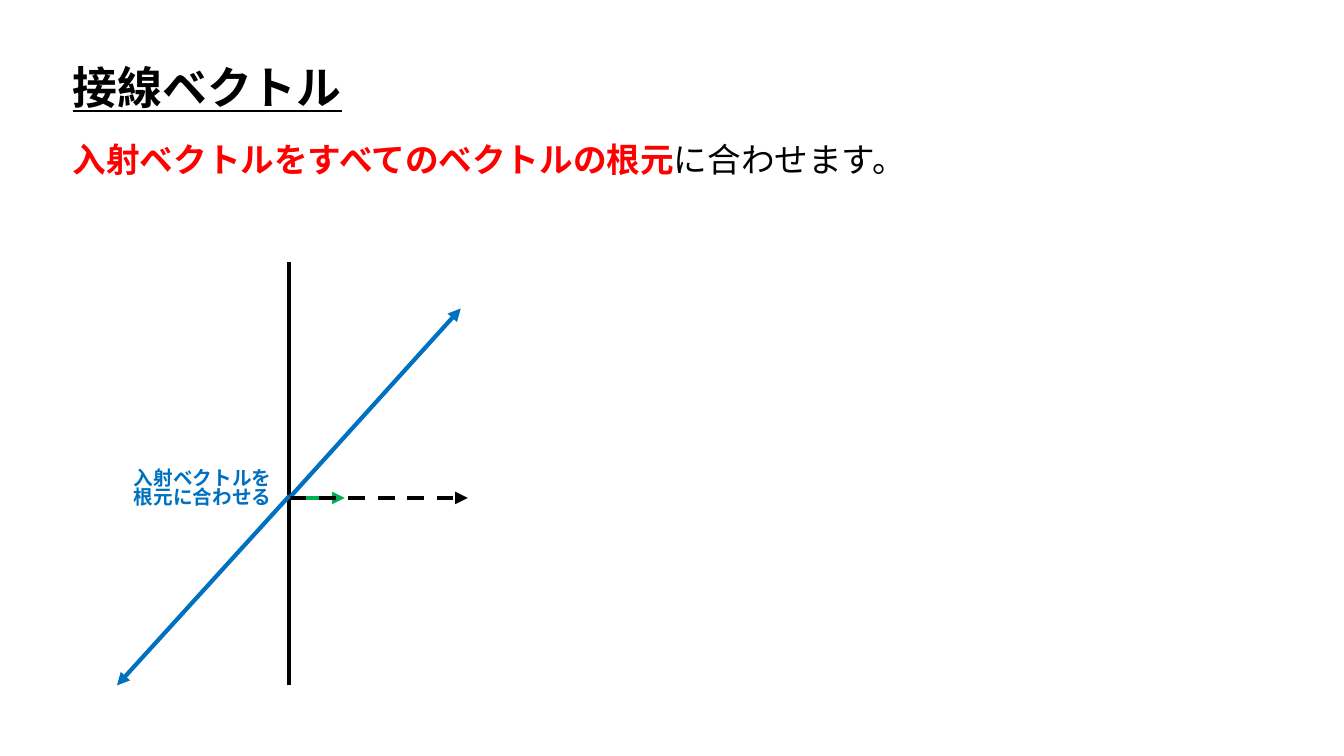
from lxml import etree
from pptx import Presentation
from pptx.dml.color import RGBColor
from pptx.enum.dml import MSO_LINE
from pptx.enum.shapes import MSO_CONNECTOR
from pptx.enum.text import MSO_ANCHOR, MSO_AUTO_SIZE, PP_ALIGN
from pptx.oxml.ns import qn
from pptx.util import Inches, Pt

STRAIGHT = MSO_CONNECTOR.STRAIGHT
DASH = MSO_LINE.DASH
MIDDLE = MSO_ANCHOR.MIDDLE
NO_FIT = MSO_AUTO_SIZE.NONE
LEFT = PP_ALIGN.LEFT

FONT = "Noto Sans CJK JP"
BLACK, RED, GREEN, BLUE = "000000", "FF0000", "00B050", "0070C0"
MARGIN = 0.62
ROOT_X, ROOT_Y = 2.87, 4.94


def color(hex_code):
    return RGBColor.from_string(hex_code)


def write(shape, box, paragraphs, size, bold=True, underline=False, spacing=1.0):
    """Place a text shape and fill it with paragraphs of (text, colour, bold) runs."""
    shape.left, shape.top, shape.width, shape.height = map(Inches, box)
    frame = shape.text_frame
    frame.word_wrap = False
    frame.auto_size = NO_FIT
    frame.vertical_anchor = MIDDLE
    for index, runs in enumerate(paragraphs):
        paragraph = frame.paragraphs[0] if index == 0 else frame.add_paragraph()
        properties = paragraph._p.get_or_add_pPr()
        properties.set("marL", "0")
        properties.set("indent", "0")
        etree.SubElement(properties, qn("a:buNone"))
        paragraph.alignment = LEFT
        paragraph.line_spacing = spacing
        paragraph.space_before = Pt(0)
        for text, hex_code, *weight in runs:
            run = paragraph.add_run()
            run.text = text
            font = run.font
            font.size = Pt(size)
            font.bold = weight[0] if weight else bold
            font.underline = underline
            font.color.rgb = color(hex_code)
            font.name = FONT
            east_asian = etree.Element(qn("a:ea"), typeface=FONT)
            run._r.rPr.find(qn("a:latin")).addnext(east_asian)


def draw_line(slide, start, end, hex_code, arrow=True, dash=None):
    connector = slide.shapes.add_connector(STRAIGHT, *map(Inches, start + end))
    line = connector.line
    line.color.rgb = color(hex_code)
    line.width = Pt(3)
    if dash:
        line.dash_style = dash
    if arrow:
        etree.SubElement(line._get_or_add_ln(), qn("a:tailEnd"), type="triangle")
    etree.SubElement(connector._element.spPr, qn("a:effectLst"))


def main():
    deck = Presentation()
    deck.slide_width, deck.slide_height = Inches(13.33), Inches(7.5)
    slide = deck.slides.add_slide(deck.slide_layouts[1])
    heading, statement = slide.placeholders

    write(heading, (MARGIN, 0.54, 2.89, 0.64), [[("接線ベクトル", BLACK)]],
          size=32, underline=True)
    write(statement, (MARGIN, 1.33, 8.62, 0.5),
          [[("入射ベクトルをすべてのベクトルの根元", RED),
            ("に合わせます。", BLACK, False)]], size=24)

    root = (ROOT_X, ROOT_Y)
    draw_line(slide, (ROOT_X, 2.6), (ROOT_X, 6.8), BLACK, arrow=False)
    draw_line(slide, root, (3.42, ROOT_Y), GREEN)
    draw_line(slide, root, (4.57, 3.06), BLUE)
    draw_line(slide, root, (4.64, ROOT_Y), BLACK, dash=DASH)
    draw_line(slide, (ROOT_X, 4.92), (1.16, 6.8), BLUE)

    label = slide.shapes.add_textbox(0, 0, 0, 0)
    write(label, (1.23, 4.57, 1.58, 0.57),
          [[("入射ベクトルを", BLUE)], [("根元に合わせる", BLUE)]],
          size=14, spacing=0.81)
    deck.save("out.pptx")


if __name__ == "__main__":
    main()
